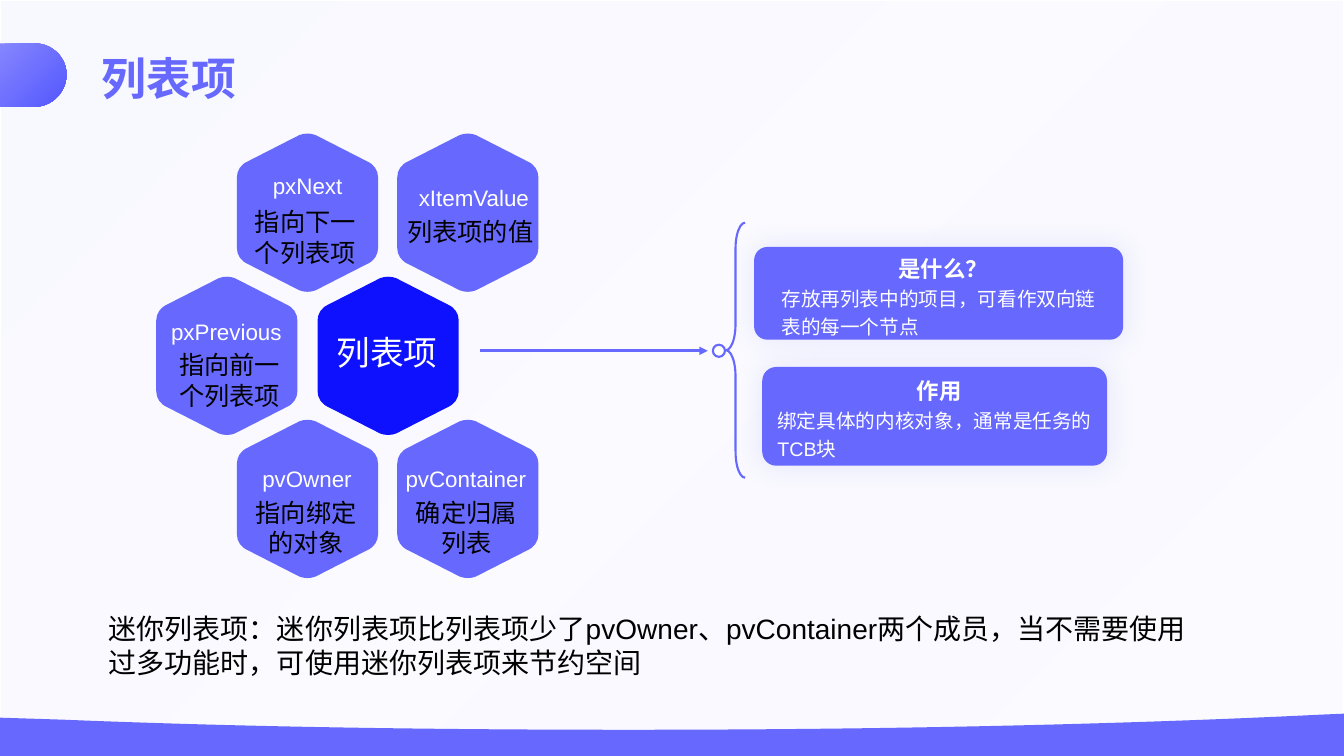
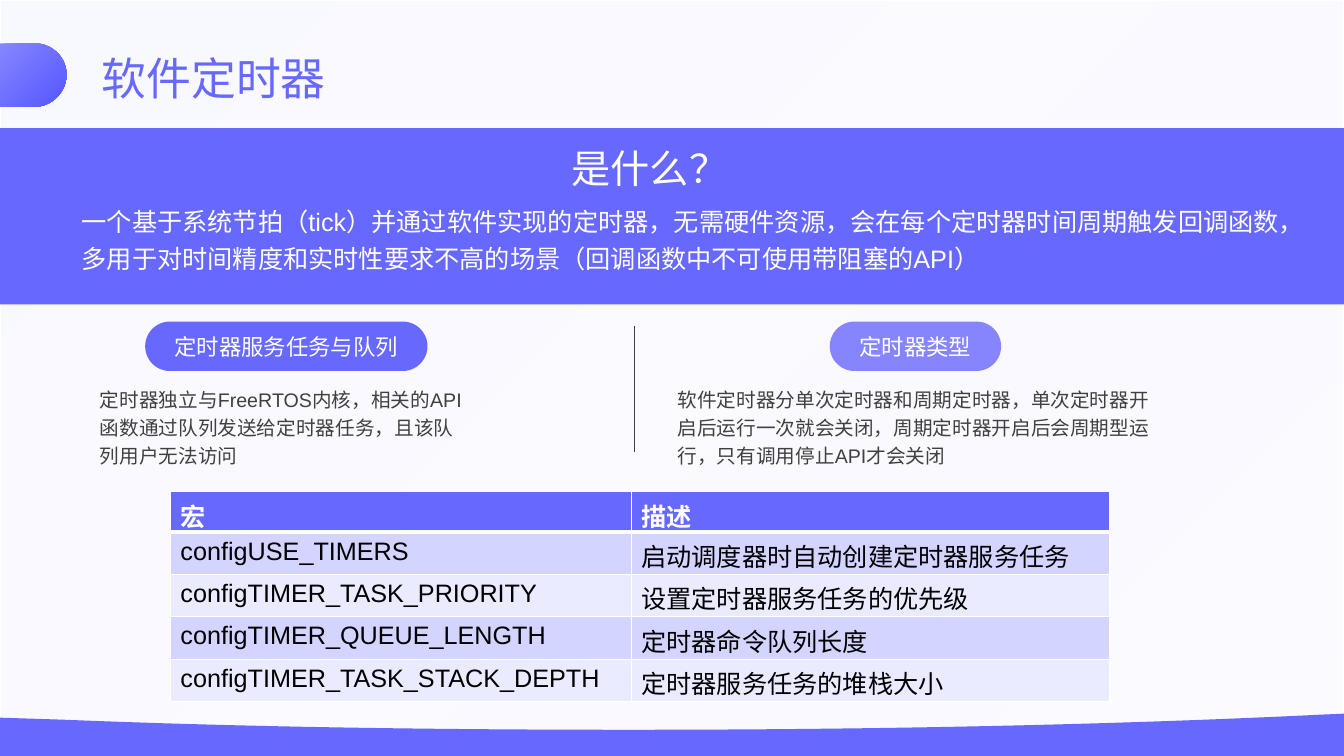
from lxml import etree
from pptx import Presentation
from pptx.dml.color import RGBColor
from pptx.enum.shapes import MSO_CONNECTOR, MSO_SHAPE
from pptx.enum.text import MSO_ANCHOR, PP_ALIGN
from pptx.oxml import parse_xml
from pptx.oxml.ns import nsdecls, qn
from pptx.util import Inches, Pt

RECT, ROUND = MSO_SHAPE.RECTANGLE, MSO_SHAPE.ROUNDED_RECTANGLE
BRACE, OVAL = MSO_SHAPE.LEFT_BRACE, MSO_SHAPE.OVAL
STRAIGHT, MIDDLE = MSO_CONNECTOR.STRAIGHT, MSO_ANCHOR.MIDDLE
LEFT, CENTER = PP_ALIGN.LEFT, PP_ALIGN.CENTER

COLORS = {
    "main": "6668FE", "light": "8586FE", "deep": "5457FE", "pale": "F7F7FF",
    "pill": "8685FE", "core": "0E11FD", "shadow": "7577FE", "white": "FFFFFF",
    "black": "000000", "gray": "404040", "odd": "D3D4FF", "even": "EAEBFF",
}
FONT = "Arial"
TITLE = {"size": 32, "color": "main"}
HEAD = {"size": 16, "color": "white"}
CARD_HEAD = {**HEAD, "bold": True, "align": CENTER}
CARD_BODY = {"size": 14, "color": "white"}
NOTE = {"size": 14, "color": "gray"}
BODY = {"size": 18, "color": "black"}

HEX_W, HEX_H = 1.4, 1.58
HEX_HALF = [(0.78, 0.02), (1.29, 0.28), (1.36, 0.31, 1.4, 0.37, 1.4, 0.44),
            (1.4, 1.14), (1.4, 1.21, 1.36, 1.27, 1.29, 1.3),
            (0.78, 1.56), (0.73, 1.58, 0.67, 1.58, 0.62, 1.56)]
HEX_TURNED = [tuple((HEX_H if i % 2 else HEX_W) - v for i, v in enumerate(step))
              for step in HEX_HALF[1:]]
HEXAGON = HEX_HALF + HEX_TURNED
WAVE = [(13.33, 7.08), (13.33, 7.5), (0, 7.5), (0, 7.12), (0.63, 7.14),
        (2.35, 7.21, 4.25, 7.24, 6.24, 7.24), (8.72, 7.24, 11.06, 7.19, 13.1, 7.09)]
TAB = [(0, 0.43), (0.34, 0.43), (0.52, 0.43, 0.66, 0.57, 0.66, 0.74),
       (0.66, 0.91, 0.52, 1.06, 0.34, 1.06), (0, 1.06)]

HEXAGONS = [
    (-0.8, -1.42, "pxNext", (0.34, 0.39, 0.72),
     "指向下一个列表项", (0.08, 0.68, 1.3), LEFT),
    (-1.6, 0, "pxPrevious", (0.13, 0.42, 1.13),
     "指向前一个列表项", (0.13, 0.68, 1.21), LEFT),
    (-0.8, 1.42, "pvOwner", (0.18, 0.45, 1.03),
     "指向绑定的对象", (0.08, 0.72, 1.21), CENTER),
    (0.79, 1.42, "pvContainer", (0.05, 0.45, 1.26),
     "确定归属列表", (0.05, 0.72, 1.27), CENTER),
    (0.79, -1.42, "xItemValue", (0.2, 0.51, 1.12),
     "列表项的值", (0, 0.78, 1.48), LEFT),
]
MACROS = [
    ("宏", "描述"),
    ("configUSE_TIMERS", "启动调度器时自动创建定时器服务任务"),
    ("configTIMER_TASK_PRIORITY", "设置定时器服务任务的优先级"),
    ("configTIMER_QUEUE_LENGTH", "定时器命令队列长度"),
    ("configTIMER_TASK_STACK_DEPTH", "定时器服务任务的堆栈大小"),
]


def rgb(name):
    """Return the named colour."""
    return RGBColor.from_string(COLORS[name])


def inches(*values):
    """Convert numbers to lengths."""
    return [Inches(v) for v in values]


def write(tf, paragraphs, spacing=None):
    """Fill a text frame from (text, format) pairs."""
    for i, (text, fmt) in enumerate(paragraphs):
        p = tf.add_paragraph() if i else tf.paragraphs[0]
        p.alignment = fmt.get("align", LEFT)
        p.line_spacing = spacing
        r = p.add_run()
        r.text = text
        values = {"name": FONT, "size": Pt(fmt["size"]), "bold": fmt.get("bold", False)}
        for key, value in values.items():
            setattr(r.font, key, value)
        r.font.color.rgb = rgb(fmt["color"])


def set_insets(tf, x, y):
    """Set the horizontal and vertical margins of a text frame."""
    tf.margin_left = tf.margin_right = Inches(x)
    tf.margin_top = tf.margin_bottom = Inches(y)


def add_text(s, box, paragraphs, spacing=None, insets=(0, 0), wrap=True):
    """Add a text box."""
    tf = s.shapes.add_textbox(*inches(*box)).text_frame
    tf.word_wrap = wrap
    set_insets(tf, *insets)
    write(tf, paragraphs, spacing)


def paint(sp, fill=None, line=None, width=1):
    """Set the fill and outline of a shape and drop its shadow."""
    sp.shadow.inherit = False
    if fill:
        sp.fill.solid()
        sp.fill.fore_color.rgb = rgb(fill)
    else:
        sp.fill.background()
    if line:
        sp.line.color.rgb = rgb(line)
        sp.line.width = Pt(width)
    else:
        sp.line.fill.background()
    return sp


def paint_gradient(sp, stops):
    """Fill a shape with a diagonal gradient of (position, colour, opacity) stops."""
    sp.fill.gradient()
    sp.fill.gradient_angle = 315
    gs_list = sp._element.spPr.find(".//" + qn("a:gsLst"))
    for gs in list(gs_list):
        gs_list.remove(gs)
    for position, color, opacity in stops:
        gs = etree.SubElement(gs_list, qn("a:gs"), pos=str(position * 1000))
        clr = etree.SubElement(gs, qn("a:srgbClr"), val=COLORS[color])
        if opacity < 100:
            etree.SubElement(clr, qn("a:alpha"), val=str(opacity * 1000))


def add_box(s, kind, box, fill=None, line=None, width=1, adjust=()):
    """Add a painted preset shape."""
    sp = s.shapes.add_shape(kind, *inches(*box))
    for i, value in enumerate(adjust):
        sp.adjustments[i] = value
    return paint(sp, fill, line, width)


def add_outline(s, steps, fill, x=0, y=0):
    """Add a closed outline whose six-number steps are Bezier curves."""
    points = [inches(x + step[i], y + step[i + 1])
              for step in steps for i in range(0, len(step), 2)]
    builder = s.shapes.build_freeform(*points[0])
    builder.add_line_segments(points[1:], close=True)
    sp = builder.convert_to_shape()
    segments = iter(list(sp._element.spPr.iter(qn("a:lnTo"))))
    for step in steps[1:]:
        first = next(segments)
        if len(step) == 6:
            first.tag = qn("a:cubicBezTo")
            for segment in (next(segments), next(segments)):
                first.append(segment[0])
                segment.getparent().remove(segment)
    return paint(sp, fill)


def add_line(s, ends, color, width, arrow=False):
    """Add a straight line, with an arrowhead if asked."""
    line = s.shapes.add_connector(STRAIGHT, *inches(*ends))
    line.line.color.rgb = rgb(color)
    line.line.width = Pt(width)
    if arrow:
        etree.SubElement(line.line._get_or_add_ln(), qn("a:tailEnd"), type="triangle")
    etree.SubElement(line._element.spPr, qn("a:effectLst"))


def add_base(prs, title, width, bold=False):
    """Add a slide with the shared backdrop, wave, tab and title."""
    s = prs.slides.add_slide(prs.slide_layouts[6])
    backdrop = add_box(s, RECT, (0, 0, 13.33, 7.5), line="white")
    paint_gradient(backdrop, [(0, "main", 2), (0, "light", 5), (100, "main", 2)])
    add_outline(s, WAVE, "main")
    paint_gradient(add_outline(s, TAB, "main"),
                   [(0, "pale", 100), (0, "light", 100), (100, "deep", 100)])
    add_text(s, (0.91, 0.51, width, 0.58), [(title, {**TITLE, "bold": bold})],
             0.9, (0.1, 0.05))
    return s


def add_hexagons(s, x, y):
    """Place the member hexagons around a core whose corner is at x, y."""
    add_outline(s, HEXAGON, "core", x, y)
    for dx, dy, *_ in HEXAGONS:
        add_outline(s, HEXAGON, "main", x + dx, y + dy)
    add_text(s, (x + 0.12, y + 0.55, 1.14, 0.4),
             [("列表项", {"size": 24, "color": "white", "align": CENTER})])
    for dx, dy, name, (nx, ny, nw), detail, (tx, ty, tw), align in HEXAGONS:
        left, top = x + dx, y + dy
        add_text(s, (left + nx, top + ny, nw, 0.27), [(name, {**HEAD, "align": CENTER})])
        add_text(s, (left + tx, top + ty, tw, 0.71), [(detail, {**BODY, "align": align})],
                 insets=(0.1, 0.05))


def add_card(s, box, offset, head, body):
    """Add a rounded card with a soft glow, a heading and a sentence."""
    sp = add_box(s, ROUND, box, "main", adjust=[0.142])
    sp._element.spPr.find(qn("a:effectLst")).append(parse_xml(
        f'<a:outerShdw {nsdecls("a")} blurRad="{Pt(20)}" dist="0" dir="0" algn="ctr">'
        f'<a:srgbClr val="{COLORS["shadow"]}"><a:alpha val="15000"/></a:srgbClr>'
        '</a:outerShdw>'))
    dx, dy = offset
    add_text(s, (box[0] + dx, box[1] + dy, 3.21, 0.89),
             [(head, CARD_HEAD), (body, CARD_BODY)], 1.2)


def add_topic(s, x, pill, fill, head, body, width):
    """Add a pill heading and a paragraph in a column starting at x."""
    dx, pill_width = pill
    sp = add_box(s, ROUND, (x + dx, 3.19, pill_width, 0.49), fill, adjust=[0.5])
    tf = sp.text_frame
    tf.vertical_anchor = MIDDLE
    set_insets(tf, 0.08, 0.04)
    write(tf, [(head, {**HEAD, "align": CENTER})])
    add_text(s, (x, 3.8, width, 0.85), [(body, NOTE)], 1.2)


def add_borders(cell, widths):
    """Draw white cell borders of the given widths."""
    tc_pr = cell._tc.get_or_add_tcPr()
    for side, width in widths.items():
        tc_pr.append(parse_xml(
            f'<a:ln{side} {nsdecls("a")} w="{Pt(width)}"><a:solidFill>'
            f'<a:srgbClr val="{COLORS["white"]}"/></a:solidFill></a:ln{side}>'))


def add_macro_table(s, x, y):
    """Add the table of macros and their descriptions."""
    table = s.shapes.add_table(len(MACROS), 2, *inches(x, y, 9.33, 2.07)).table
    for column, width in zip(table.columns, (4.57, 4.75)):
        column.width = Inches(width)
    for i, texts in enumerate(MACROS):
        table.rows[i].height = Inches(0.42 if i else 0.36)
        fill = ("odd" if i % 2 else "even") if i else "main"
        fmt = BODY if i else {**BODY, "color": "white", "bold": True}
        for j, text in enumerate(texts):
            cell = table.cell(i, j)
            add_borders(cell, {"L": 1, "R": 1, "T": 3 if i == 1 else 1, "B": 1 if i else 3})
            cell.fill.solid()
            cell.fill.fore_color.rgb = rgb(fill)
            write(cell.text_frame, [(text, fmt)])


def build_list_item(prs):
    """Build the slide on list items."""
    s = add_base(prs, "列表项", 2.12, bold=True)
    add_hexagons(s, 3.15, 2.74)
    add_line(s, (4.76, 3.48, 7.02, 3.48), "main", 2, arrow=True)
    add_box(s, BRACE, (7.2, 2.21, 0.19, 2.53), line="main", width=1.5, adjust=[1.36, 0.5])
    add_box(s, OVAL, (7.07, 3.42, 0.12, 0.12), "white", "main", 1.5)
    add_card(s, (7.48, 2.45, 3.66, 0.92), (0.27, 0.03),
             "是什么？", "存放再列表中的项目，可看作双向链表的每一个节点")
    add_card(s, (7.56, 3.64, 3.42, 0.98), (0.15, 0.05),
             "作用", "绑定具体的内核对象，通常是任务的TCB块")
    add_text(s, (0.98, 6.02, 11.07, 0.77), [(
        "迷你列表项：迷你列表项比列表项少了pvOwner、pvContainer两个成员，"
        "当不需要使用过多功能时，可使用迷你列表项来节约空间",
        {"size": 20, "color": "black"})], insets=(0.1, 0.05))


def build_timer(prs):
    """Build the slide on software timers."""
    s = add_base(prs, "软件定时器", 2.82)
    add_box(s, RECT, (0, 1.27, 13.33, 1.75), "main")
    add_text(s, (5.67, 1.43, 1.56, 0.47), [("是什么？", {"size": 28, "color": "white"})],
             wrap=False)
    add_text(s, (0.81, 1.99, 12.33, 0.73), [(
        "一个基于系统节拍（tick）并通过软件实现的定时器，无需硬件资源，"
        "会在每个定时器时间周期触发回调函数，多用于对时间精度和实时性要求不高的场景"
        "（回调函数中不可使用带阻塞的API）", {**BODY, "color": "white"})], 1.2)
    add_topic(s, 0.99, (0.45, 2.8), "main", "定时器服务任务与队列",
              "定时器独立与FreeRTOS内核，相关的API函数通过队列发送给定时器任务，"
              "且该队列用户无法访问", 3.69)
    add_topic(s, 6.72, (1.51, 1.7), "pill", "定时器类型",
              "软件定时器分单次定时器和周期定时器，单次定时器开启后运行一次就会关闭，"
              "周期定时器开启后会周期型运行，只有调用停止API才会关闭", 4.72)
    add_line(s, (6.29, 3.23, 6.29, 4.48), "gray", 0.77)
    add_macro_table(s, 1.69, 4.88)


def main():
    """Build and save the presentation."""
    prs = Presentation()
    prs.slide_width, prs.slide_height = inches(13.33, 7.5)
    build_list_item(prs)
    build_timer(prs)
    prs.save("out.pptx")


if __name__ == "__main__":
    main()
